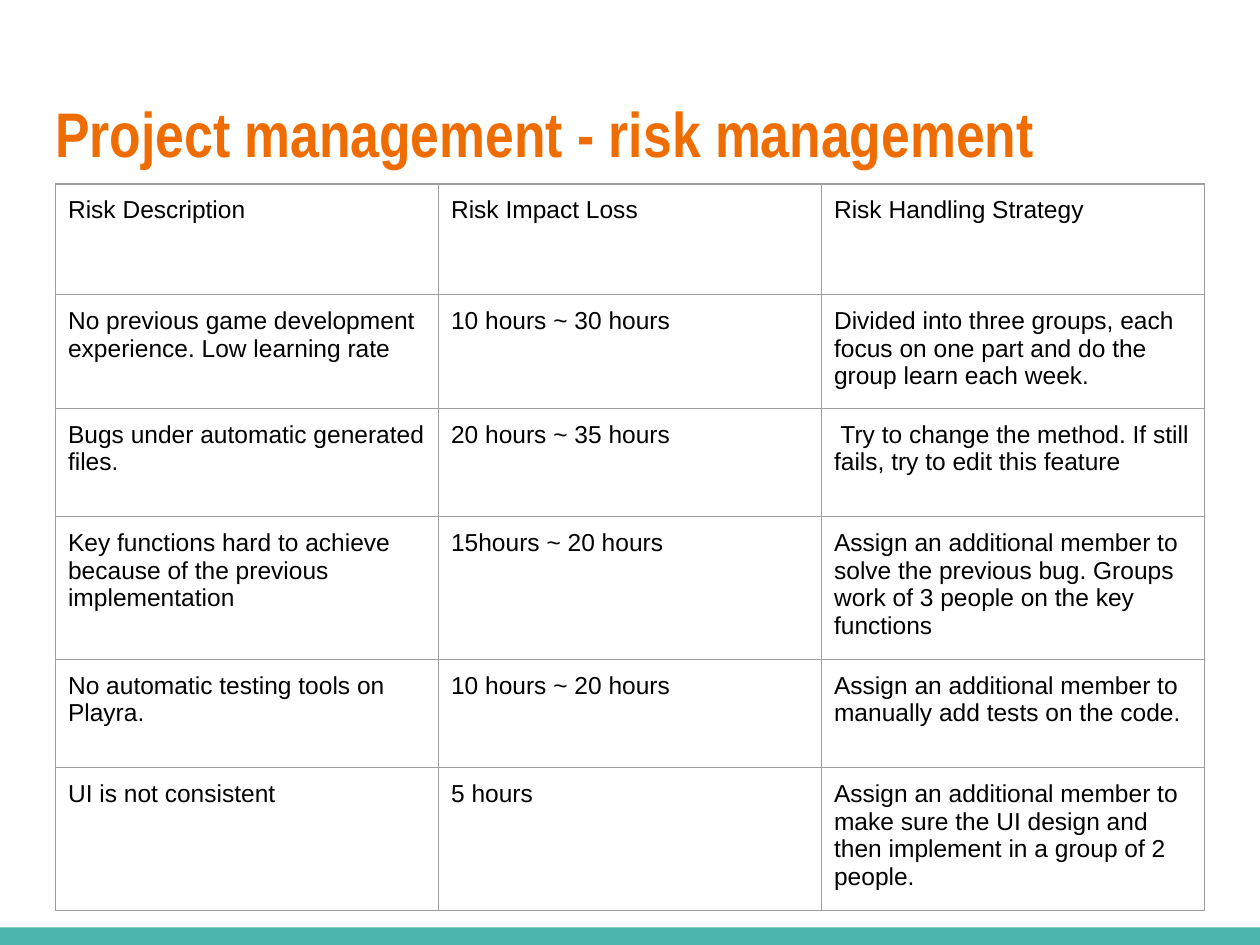
from typing import NamedTuple

from lxml.etree import SubElement
from pptx import Presentation
from pptx.dml.color import RGBColor
from pptx.enum.shapes import MSO_SHAPE
from pptx.enum.text import MSO_ANCHOR
from pptx.oxml.ns import qn
from pptx.util import Inches, Pt

COLORS = {
    "bar": "4DB6AC",
    "title": "EF6C00",
    "text": "000000",
    "border": "9E9E9E",
}
MARGIN = Inches(0.1)
COLUMN_WIDTH = Inches(3.04)
ROW_HEIGHTS = [0.88, 0.89, 0.86, 0.86, 0.86, 0.86]


class Risk(NamedTuple):
    description: str
    impact: str
    strategy: str


RISKS = [
    Risk("Risk Description", "Risk Impact Loss", "Risk Handling Strategy"),
    Risk("No previous game development experience. Low learning rate",
         "10 hours ~ 30 hours",
         "Divided into three groups, each focus on one part and do the "
         "group learn each week."),
    Risk("Bugs under automatic generated files.",
         "20 hours ~ 35 hours",
         " Try to change the method. If still fails, try to edit this feature"),
    Risk("Key functions hard to achieve because of the previous implementation",
         "15hours ~ 20 hours",
         "Assign an additional member to solve the previous bug. Groups work "
         "of 3 people on the key functions"),
    Risk("No automatic testing tools on Playra.",
         "10 hours ~ 20 hours",
         "Assign an additional member to manually add tests on the code."),
    Risk("UI is not consistent",
         "5 hours",
         "Assign an additional member to make sure the UI design and then "
         "implement in a group of 2 people."),
]


def color(name: str) -> RGBColor:
    return RGBColor.from_string(COLORS[name])


def set_margins(target) -> None:
    """Give a cell or text frame the same inset on every side."""
    target.margin_left = target.margin_right = MARGIN
    target.margin_top = target.margin_bottom = MARGIN


def set_font(paragraph, name: str, size: int, color_name: str, bold: bool = False) -> None:
    font = paragraph.font
    font.name, font.size, font.bold = name, Pt(size), bold
    font.color.rgb = color(color_name)


def add_borders(cell) -> None:
    properties = cell._tc.get_or_add_tcPr()
    for index, side in enumerate(("lnL", "lnR", "lnT", "lnB")):
        line = properties.makeelement(qn(f"a:{side}"), {"w": str(Pt(0.75))})
        fill = SubElement(line, qn("a:solidFill"))
        SubElement(fill, qn("a:srgbClr"), val=COLORS["border"])
        properties.insert(index, line)


def add_bar(page) -> None:
    bar = page.shapes.add_shape(
        MSO_SHAPE.RECTANGLE, 0, Inches(7.36), Inches(10), Inches(0.14))
    bar.shadow.inherit = False
    bar.fill.solid()
    bar.fill.fore_color.rgb = color("bar")
    bar.line.fill.background()


def add_title(page, text: str) -> None:
    box = page.shapes.add_textbox(
        Inches(0.34), Inches(0.65), Inches(9.32), Inches(1.03))
    frame = box.text_frame
    frame.word_wrap = True
    frame.vertical_anchor = MSO_ANCHOR.TOP
    set_margins(frame)
    frame.text = text
    set_font(frame.paragraphs[0], "Arial Narrow", 36, "title", bold=True)


def add_risk_table(page, risks: list[Risk]) -> None:
    columns = len(Risk._fields)
    table = page.shapes.add_table(
        len(risks), columns, Inches(0.44), Inches(1.46),
        COLUMN_WIDTH * columns, Inches(sum(ROW_HEIGHTS))).table
    table.first_row = table.horz_banding = False
    for column in table.columns:
        column.width = COLUMN_WIDTH
    for row, height, risk in zip(table.rows, ROW_HEIGHTS, risks):
        row.height = Inches(height)
        for cell, text in zip(row.cells, risk):
            cell.fill.background()
            add_borders(cell)
            set_margins(cell)
            cell.text = text
            set_font(cell.text_frame.paragraphs[0], "Arial", 14, "text")


def main() -> None:
    deck = Presentation()
    deck.slide_width, deck.slide_height = Inches(10), Inches(7.5)
    page = deck.slides.add_slide(deck.slide_layouts[6])
    add_bar(page)
    add_title(page, "Project management - risk management")
    add_risk_table(page, RISKS)
    deck.save("out.pptx")


if __name__ == "__main__":
    main()
